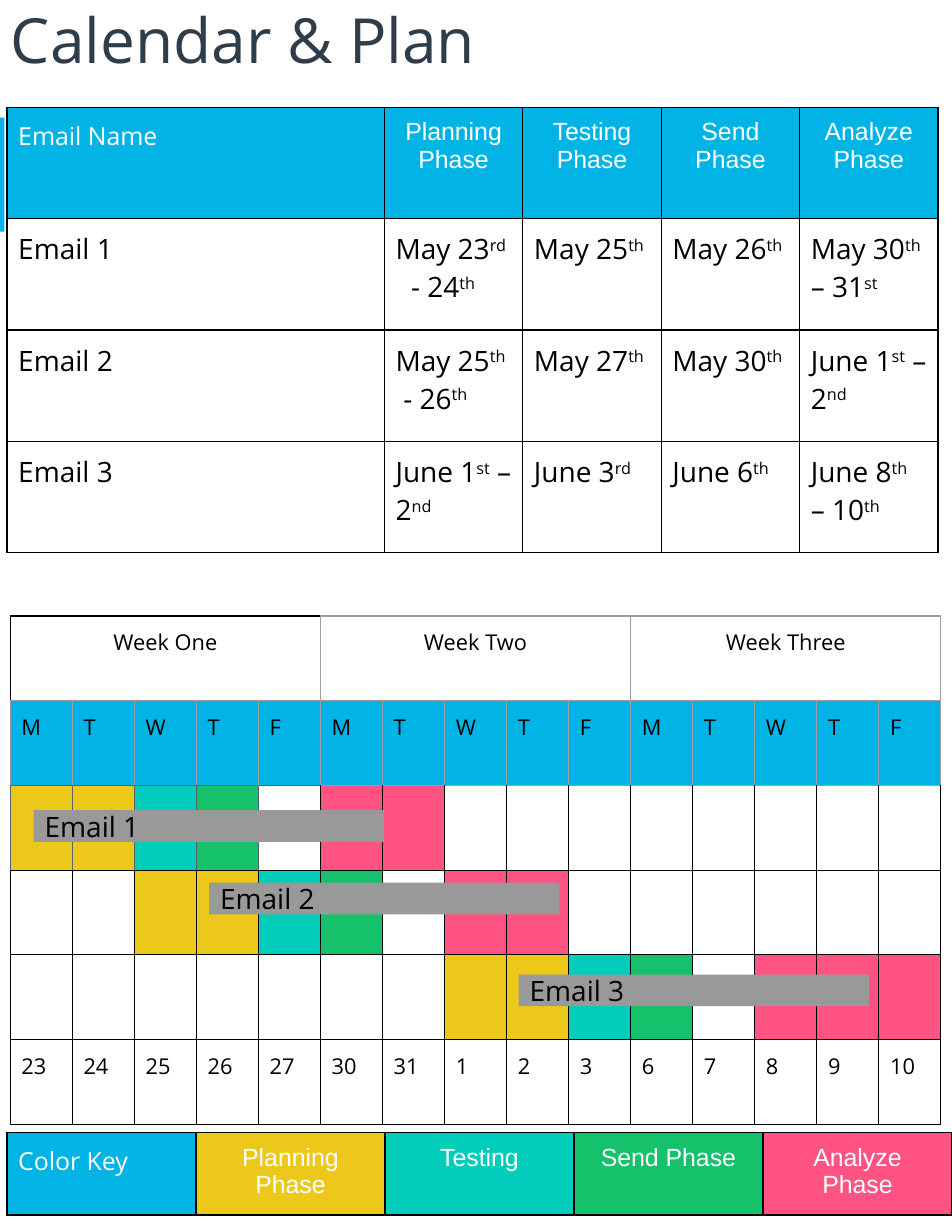
from lxml import etree
from pptx import Presentation
from pptx.dml.color import RGBColor
from pptx.enum.shapes import MSO_SHAPE
from pptx.enum.text import MSO_ANCHOR, PP_ALIGN
from pptx.oxml.ns import qn
from pptx.util import Pt

RECT = MSO_SHAPE.RECTANGLE
MIDDLE = MSO_ANCHOR.MIDDLE
LEFT, CENTER = PP_ALIGN.LEFT, PP_ALIGN.CENTER

SANS, ARIAL = "Open Sans", "Arial"
BLACK, WHITE, BLUE = "000000", "FFFFFF", "02B4E5"
GRAY, SLATE = "9E9E9E", "58646D"
PHASE_COLORS = {"P": "ECC81A", "T": "02CCBA", "S": "15C26B", "A": "FF5483"}
INSET = 7.2

HEADINGS = ["Email Name", "Planning Phase", "Testing Phase", "Send Phase", "Analyze Phase"]
# Text between carets is superscript.
SCHEDULE = [
    ["Email 1", "May 23^rd^ - 24^th^", "May 25^th^", "May 26^th^", "May 30^th^ – 31^st^"],
    ["Email 2", "May 25^th^ - 26^th^", "May 27^th^", "May 30^th^", "June 1^st^ – 2^nd^"],
    ["Email 3", "June 1^st^ – 2^nd^", "June 3^rd^", "June 6^th^", "June 8^th^ – 10^th^"],
]
HANGING = {(1, 1): 10, (2, 1): 5}
WEEKS = ["Week One", "Week Two", "Week Three"]
DAYS = "MTWTF"
DATES = [23, 24, 25, 26, 27, 30, 31, 1, 2, 3, 6, 7, 8, 9, 10]
PLANS = ["PPTS.AA", "..PPTS.AA", ".......PPTS.AAA"]
KEY = [("Color Key", BLUE), ("Planning Phase", PHASE_COLORS["P"]),
       ("Testing", PHASE_COLORS["T"]), ("Send Phase", PHASE_COLORS["S"]),
       ("Analyze\nPhase", PHASE_COLORS["A"])]


def rgb(value):
    return RGBColor.from_string(value)


def write(tf, text, size, color=BLACK, font=SANS, align=LEFT, hanging=0):
    """Fill a text frame; newlines split paragraphs, carets enclose superscripts."""
    for i, line in enumerate(text.split("\n")):
        p = tf.add_paragraph() if i else tf.paragraphs[0]
        p.alignment = align
        if hanging:
            pPr = p._p.get_or_add_pPr()
            pPr.set("marL", str(Pt(hanging)))
            pPr.set("indent", str(-Pt(hanging)))
        for j, part in enumerate(line.split("^")):
            if not part:
                continue
            r = p.add_run()
            r.text = part
            for name, value in {"size": Pt(size), "name": font, "bold": False}.items():
                setattr(r.font, name, value)
            r.font.color.rgb = rgb(color)
            if j % 2:
                r.font._element.set("baseline", "30000")


def set_insets(target):
    for side in ("left", "top", "right", "bottom"):
        setattr(target, f"margin_{side}", Pt(INSET))


def style_cell(cell, fill=None, width=1, **sides):
    """Set insets, fill and borders; sides maps L, R, T, B to a colour other than black."""
    set_insets(cell)
    tcPr = cell._tc.get_or_add_tcPr()
    for side in "LRTB":
        ln = etree.SubElement(tcPr, qn(f"a:ln{side}"), w=str(Pt(width)))
        solid = etree.SubElement(ln, qn("a:solidFill"))
        etree.SubElement(solid, qn("a:srgbClr"), val=sides.get(side, BLACK))
    if fill:
        cell.fill.solid()
        cell.fill.fore_color.rgb = rgb(fill)
    else:
        cell.fill.background()


def add_grid(s, box, rows, widths):
    x, y, w, h = box
    frame = s.shapes.add_table(rows, len(widths), Pt(x), Pt(y), Pt(w), Pt(h))
    table = frame.table
    table.first_row = table.horz_banding = False
    for column, width in zip(table.columns, widths):
        column.width = Pt(width)
    for row in table.rows:
        row.height = Pt(h / rows)
    return table


def add_rect(s, box, fill):
    sp = s.shapes.add_shape(RECT, *map(Pt, box))
    sp.shadow.inherit = False
    sp.fill.solid()
    sp.fill.fore_color.rgb = rgb(fill)
    sp.line.fill.background()
    return sp


def add_title(s, box):
    tf = s.shapes.add_textbox(*map(Pt, box)).text_frame
    tf.word_wrap = True
    tf.vertical_anchor = MIDDLE
    set_insets(tf)
    write(tf, "Calendar & Plan", 40, "2E3D49")


def write_heading(cell, text, column):
    """Write white heading text: the first column is a left label, the rest centred."""
    font, align = (ARIAL, CENTER) if column else (SANS, LEFT)
    write(cell.text_frame, text, 16, WHITE, font, align)


def add_schedule(s, box):
    first = 242.6
    phase = (box[2] - first) / 4
    table = add_grid(s, box, 4, [first] + [phase] * 4)
    for r, texts in enumerate([HEADINGS] + SCHEDULE):
        for c, text in enumerate(texts):
            cell = table.cell(r, c)
            style_cell(cell, None if r else BLUE)
            if r:
                write(cell.text_frame, text, 18, hanging=HANGING.get((r, c), 0))
            else:
                write_heading(cell, text, c)


def calendar_borders(r, c):
    if r == 0 and c < 5:
        return {"R": GRAY, "B": GRAY}
    if r < 2:
        return dict.fromkeys("LRTB", GRAY)
    if r == 2:
        return dict.fromkeys("LRTB", SLATE) if c < 5 else {"T": GRAY}
    return {}


def add_calendar(s, box):
    n = len(DATES)
    table = add_grid(s, box, 6, [box[2] / n] * n)
    for r in range(6):
        for c in range(n):
            fill = BLUE if r == 1 else None
            if 2 <= r <= 4:
                fill = PHASE_COLORS.get(PLANS[r - 2].ljust(n, ".")[c])
            style_cell(table.cell(r, c), fill, 0.75, **calendar_borders(r, c))
    for i, week in enumerate(WEEKS):
        cell = table.cell(0, i * 5)
        cell.merge(table.cell(0, i * 5 + 4))
        write(cell.text_frame, week, 14, align=CENTER)
    for c, date in enumerate(DATES):
        write(table.cell(1, c).text_frame, DAYS[c % 5], 14)
        write(table.cell(5, c).text_frame, str(date), 14)


def add_color_key(s, box):
    table = add_grid(s, box, 1, [box[2] / len(KEY)] * len(KEY))
    for c, (text, fill) in enumerate(KEY):
        cell = table.cell(0, c)
        style_cell(cell, fill)
        write_heading(cell, text, c)


def add_email_bar(s, box, text):
    tf = add_rect(s, box, "999999").text_frame
    tf.word_wrap = True
    tf.vertical_anchor = MIDDLE
    set_insets(tf)
    write(tf, text, 18)


def main():
    prs = Presentation()
    prs.slide_width, prs.slide_height = Pt(612), Pt(792)
    s = prs.slides.add_slide(prs.slide_layouts[6])
    add_rect(s, (0, 75.6, 2.9, 73.4), BLUE)
    add_title(s, (0, -19.4, 570, 87.8))
    add_schedule(s, (4.5, 69, 598.6, 286.4))
    add_calendar(s, (6.6, 396, 598.5, 326.8))
    add_color_key(s, (4.5, 728, 607.5, 53.2))
    for i, (x, y) in enumerate([(21.6, 520.9), (134.4, 567.5), (333.4, 626.6)], 1):
        add_email_bar(s, (x, y, 225.2, 20.3), f"Email {i}")
    prs.save("out.pptx")


if __name__ == "__main__":
    main()
